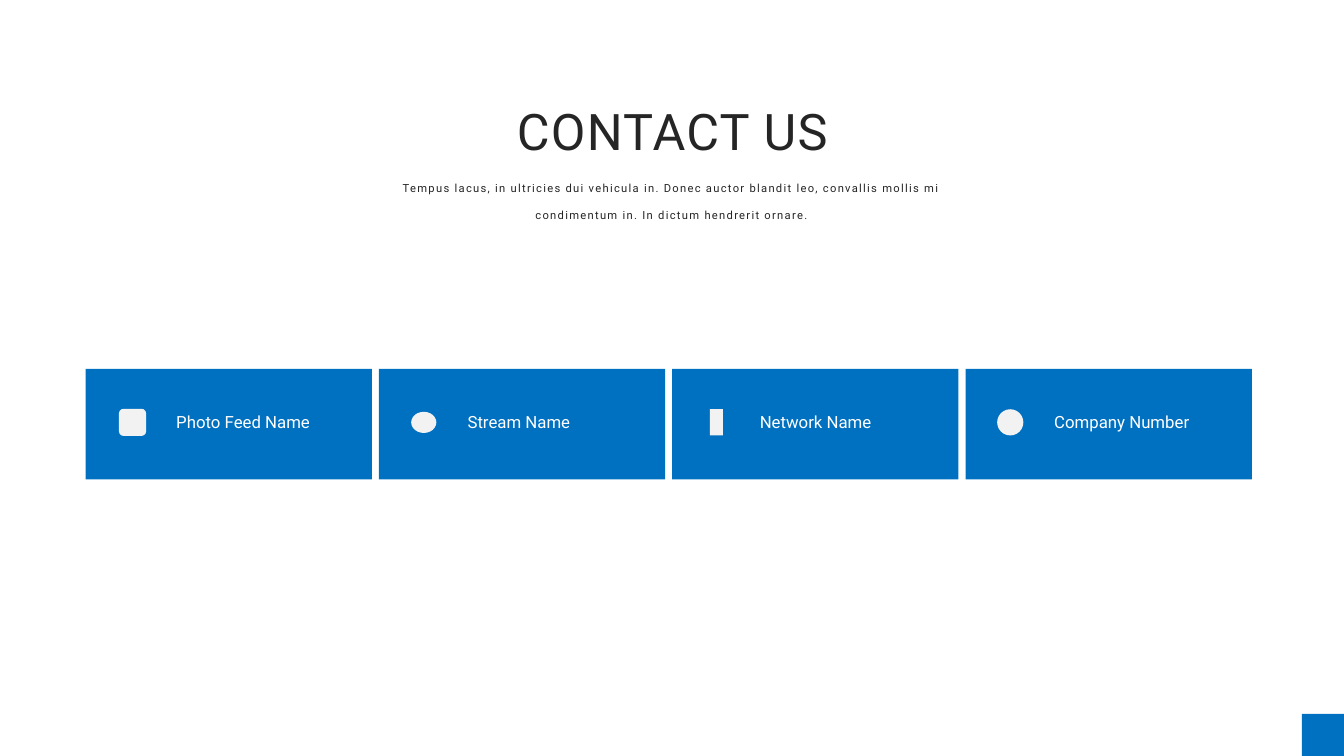
from pptx import Presentation
from pptx.dml.color import RGBColor
from pptx.enum.shapes import MSO_SHAPE
from pptx.enum.text import MSO_ANCHOR, MSO_AUTO_SIZE, PP_ALIGN
from pptx.util import Pt

TITLE = "CONTACT US"
INTRO = (
    "Tempus lacus, in ultricies dui vehicula in. Donec auctor blandit leo, "
    "convallis mollis mi condimentum in. In dictum hendrerit ornare."
)
CARDS = [
    ("Photo Feed Name", 57.6, MSO_SHAPE.ROUNDED_RECTANGLE, (23.8, 19.4, 19.4)),
    ("Stream Name", 56.2, MSO_SHAPE.OVAL, (23, 18, 15.1)),
    ("Network Name", 55.4, MSO_SHAPE.RECTANGLE, (26.8, 9.4, 18.7)),
    ("Company Number", 56.2, MSO_SHAPE.OVAL, (22.6, 18.7, 18.7)),
]
THEME = {
    "font": "Roboto",
    "blue": RGBColor(0x00, 0x70, 0xC0),
    "dark": RGBColor(0x25, 0x25, 0x25),
    "pale": RGBColor(0xF2, 0xF2, 0xF2),
    "white": RGBColor(0xFF, 0xFF, 0xFF),
    "title": 36,
    "label": 12,
    "intro": 8,
}
WIDE, HIGH = 960, 540
LEFT, TOP, CARD_W, CARD_H, GAP = 61.2, 263.5, 204.5, 79, 5
MID = 301.7
LABEL_W, LABEL_H = 134, 21.6
CORNER = 30


def add_block(slide, kind, box, color):
    block = slide.shapes.add_shape(kind, *map(Pt, box))
    block.shadow.inherit = False
    block.fill.solid()
    block.fill.fore_color.rgb = THEME[color]
    block.line.fill.background()


def set_text(shape, text, size, color):
    frame = shape.text_frame
    frame.word_wrap = True
    frame.auto_size = MSO_AUTO_SIZE.NONE
    frame.vertical_anchor = MSO_ANCHOR.TOP
    frame.text = text
    para = frame.paragraphs[0]
    para.font.name = THEME["font"]
    para.font.size = Pt(THEME[size])
    para.font.color.rgb = THEME[color]
    return para


def set_head(shape, box, text, size, lines):
    shape.left, shape.top, shape.width, shape.height = map(Pt, box)
    para = set_text(shape, text, size, "dark")
    para.alignment = PP_ALIGN.CENTER
    para.line_spacing = lines
    para.space_before = Pt(0)
    para.runs[0]._r.get_or_add_rPr().set("spc", "90")


def add_card(slide, index, card):
    text, inset, kind, (shift, width, height) = card
    left = LEFT + index * (CARD_W + GAP)
    add_block(slide, MSO_SHAPE.RECTANGLE, (left, TOP, CARD_W, CARD_H), "blue")
    add_block(slide, kind, (left + shift, MID - height / 2, width, height), "pale")
    box = (left + inset, MID - LABEL_H / 2, LABEL_W, LABEL_H)
    label = slide.shapes.add_textbox(*map(Pt, box))
    set_text(label, text, "label", "white")


def main():
    deck = Presentation()
    deck.slide_width, deck.slide_height = Pt(WIDE), Pt(HIGH)
    slide = deck.slides.add_slide(deck.slide_layouts[0])
    title, intro = slide.placeholders
    set_head(title, (293.8, 46, 373, 67), TITLE, "title", 1.5)
    set_head(intro, (249.8, 116.6, 460, 44), INTRO, "intro", 2.0)
    for index, card in enumerate(CARDS):
        add_card(slide, index, card)
    corner = (WIDE - CORNER, HIGH - CORNER, CORNER, CORNER)
    add_block(slide, MSO_SHAPE.RECTANGLE, corner, "blue")
    deck.save("out.pptx")


if __name__ == "__main__":
    main()
